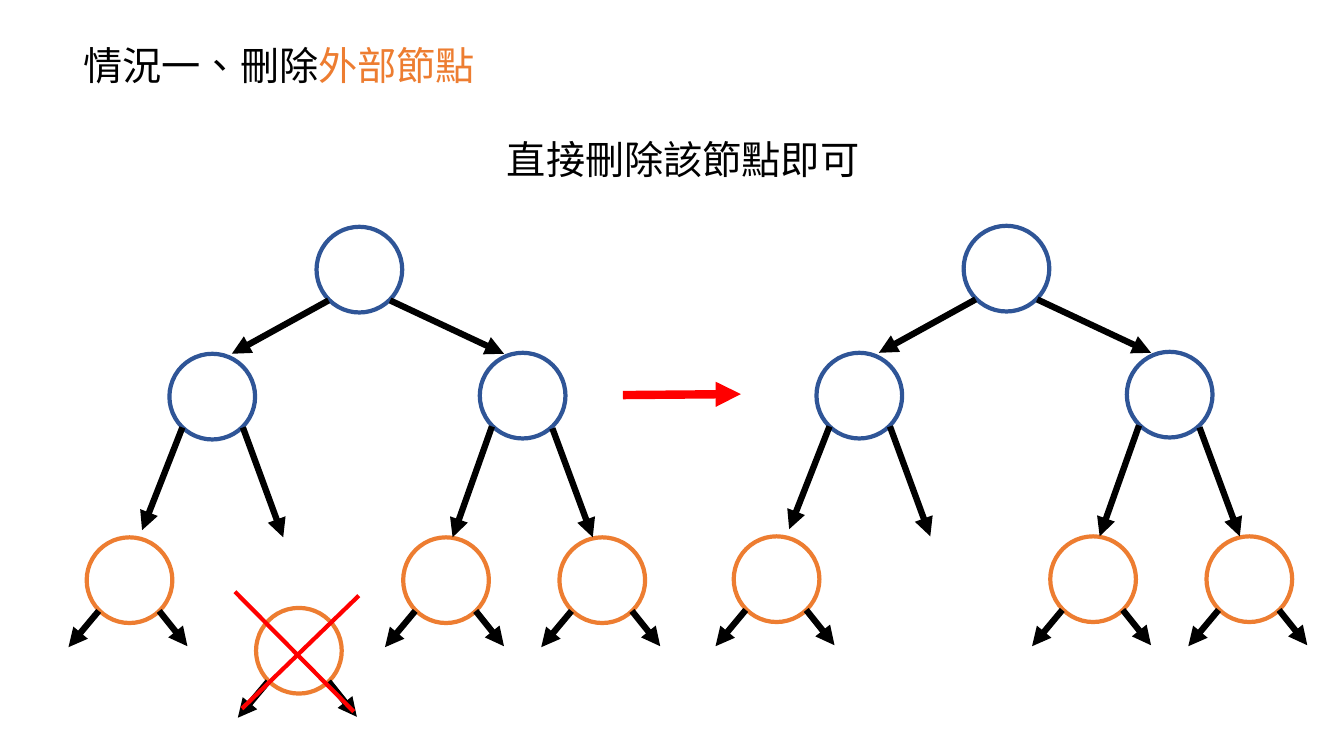
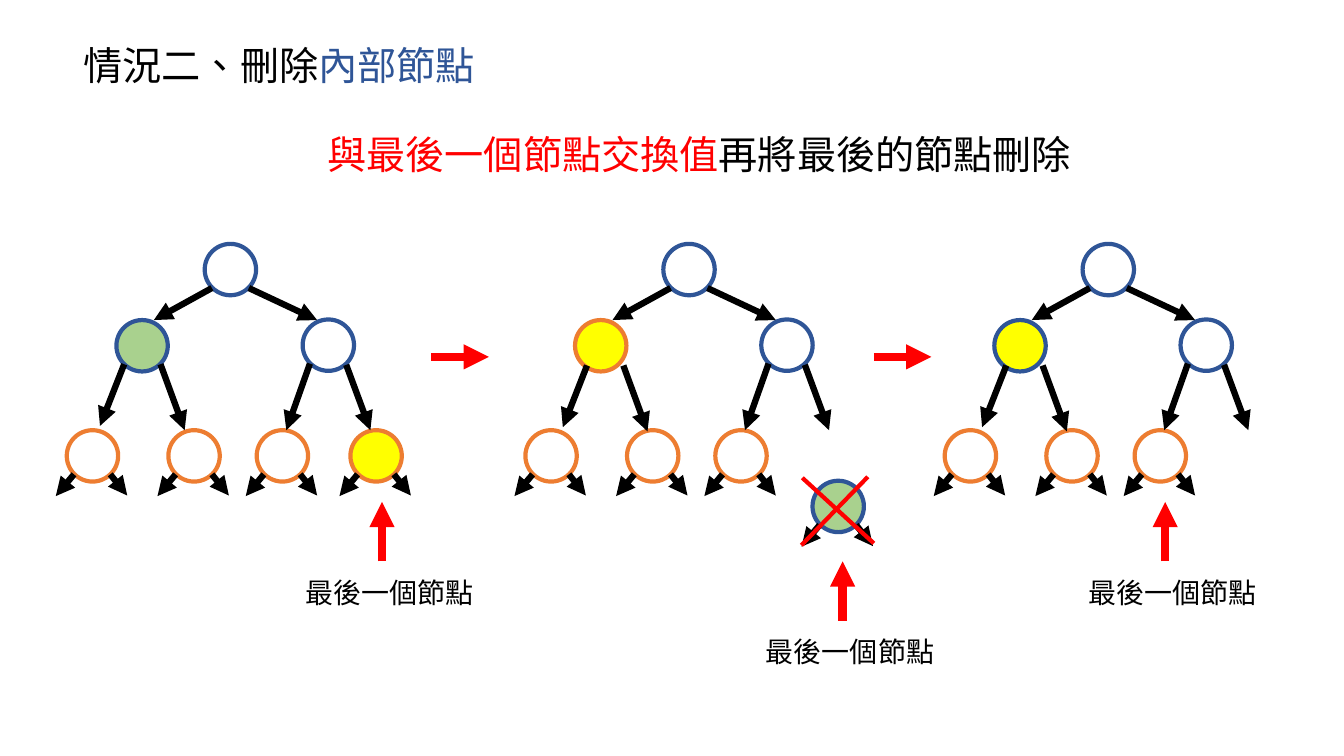
from lxml import etree
from pptx import Presentation
from pptx import util as u
from pptx.dml import color as dml
from pptx.enum import shapes, text
from pptx.oxml import ns

COLORS = {"black": "000000", "blue": "2F5597", "orange": "ED7D31",
          "red": "FF0000", "green": "A9D18E", "yellow": "FFFF00"}
LATIN, CJK = "Times New Roman", "Noto Sans CJK SC"
NODE_SIZE = 61.2

# Tree geometry at full scale, measured from the root's top left corner
NODES = {"root": (0, 0), "left": (-105.1, 90.7), "right": (116.6, 90),
         "leaf1": (-164.2, 221.8), "leaf2": (-43.2, 221.8),
         "leaf3": (61.9, 221.8), "leaf4": (173.5, 221.8)}
EDGES = [("root", (8.6, 52.6), (-60.5, 90.7)),
         ("root", (52.6, 52.6), (133.9, 90.7)),
         ("left", (-95.8, 143.3), (-124.6, 216.7)),
         ("left", (-52.6, 143.3), (-23.8, 221.8)),
         ("right", (125.3, 142.6), (97.2, 221.8)),
         ("right", (168.5, 144), (197.3, 221.8))]
STUBS = [((8.6, 52.6), (-13, 78.5)), ((51.8, 52.6), (72, 77.8))]

SLIDES = [
    {"title": [("情況一、", "black", LATIN), ("刪除", "black", CJK),
               ("外部節點", "orange", CJK)],
     "subtitle": [("直接刪除該節點即可", "black", LATIN)],
     "subtitle_box": (355, 92.9, 272.9),
     "scale": 1,
     "trees": [
         {"at": (226.1, 162), "missing": "leaf2", "detached": (-43.2, 272.2)},
         {"at": (688.3, 161.3), "missing": "leaf2"}],
     "cross": [((167.8, 422.6), (252.7, 508.3)),
               ((256.3, 425.5), (172.8, 506.2))],
     "steps": [((445, 282.2), (529.2, 281.5))],
     "pointers": []},
    {"title": [("情況二、", "black", LATIN), ("刪除", "black", CJK),
               ("內部節點", "blue", CJK)],
     "subtitle": [("與最後一個節點交換值", "red", LATIN),
                  ("再將最後的節點刪除", "black", LATIN)],
     "subtitle_box": (226.8, 89.3, 557.3),
     "scale": 0.6,
     "trees": [
         {"at": (146.2, 174.2),
          "styles": {"left": ("green", "blue"), "leaf4": ("yellow", "orange")}},
         {"at": (473.8, 174.2), "missing": "leaf4", "detached": (177.6, 282),
          "nudge": (5, 1.5),
          "styles": {"left": ("yellow", "orange"),
                     "detached": ("green", "blue")}},
         {"at": (773.3, 174.2), "missing": "leaf4", "nudge": (5, 1.5),
          "styles": {"left": ("yellow", "blue")}}],
     "cross": [((619.9, 340.6), (572.4, 389.5)),
               ((624.2, 388.1), (573.1, 341.3))],
     "steps": [((308.2, 254.9), (349.2, 254.9)),
               ((624.2, 254.9), (665.3, 254.9))],
     "pointers": [(272.9, 401), (601.9, 443.5), (832.3, 401)]},
]


def add_text(slide, box, runs, size):
    """Add a one-line text box from (wording, colour, font) runs."""
    shape = slide.shapes.add_textbox(*(u.Pt(value) for value in box))
    frame = shape.text_frame
    frame.word_wrap = True
    frame.auto_size = text.MSO_AUTO_SIZE.SHAPE_TO_FIT_TEXT
    for wording, color, font in runs:
        run = frame.paragraphs[0].add_run()
        run.text = wording
        for name, value in {"size": u.Pt(size), "name": font}.items():
            setattr(run.font, name, value)
        run.font.color.rgb = dml.RGBColor.from_string(COLORS[color])
        properties = run._r.get_or_add_rPr()
        properties.set("lang", "zh-TW")
        etree.SubElement(properties, ns.qn("a:ea"), typeface=CJK)


def add_line(slide, start, end, color="black", width=4.5, arrow=True):
    """Add a straight line, with a triangle at its end if arrow is set."""
    line = slide.shapes.add_connector(
        shapes.MSO_CONNECTOR.STRAIGHT, *(u.Pt(v) for v in (*start, *end)))
    line.line.color.rgb = dml.RGBColor.from_string(COLORS[color])
    line.line.width = u.Pt(width)
    if arrow:
        etree.SubElement(line.line._get_or_add_ln(), ns.qn("a:tailEnd"),
                         type="triangle")
    etree.SubElement(line._element.spPr, ns.qn("a:effectLst"))


presentation = Presentation()
presentation.slide_width, presentation.slide_height = u.Pt(960), u.Pt(540)

for content in SLIDES:
    slide = presentation.slides.add_slide(presentation.slide_layouts[6])
    add_text(slide, (52.6, 25.9, 314.6, 41), content["title"], 28)
    add_text(slide, (*content["subtitle_box"], 41), content["subtitle"], 28)
    scale = content["scale"]

    for tree in content["trees"]:
        left, top = tree["at"]
        nodes = {name: place for name, place in NODES.items()
                 if name != tree.get("missing")}
        if "detached" in tree:
            nodes["detached"] = tree["detached"]
        lines = []
        for parent, *ends in EDGES:
            dx, dy = tree.get("nudge", (0, 0)) if parent == "left" else (0, 0)
            lines.append([(x + dx, y + dy) for x, y in ends])

        for name, (x, y) in nodes.items():
            outer = name.startswith("leaf") or name == "detached"
            fill, outline = tree.get("styles", {}).get(
                name, (None, "orange" if outer else "blue"))
            node = slide.shapes.add_shape(
                shapes.MSO_SHAPE.OVAL, u.Pt(left + x * scale),
                u.Pt(top + y * scale), u.Pt(NODE_SIZE * scale),
                u.Pt(NODE_SIZE * scale))
            node.shadow.inherit = False
            node.line.color.rgb = dml.RGBColor.from_string(COLORS[outline])
            node.line.width = u.Pt(3)
            if fill:
                node.fill.solid()
                node.fill.fore_color.rgb = dml.RGBColor.from_string(COLORS[fill])
            else:
                node.fill.background()
            if outer:
                lines += [[(x + dx, y + dy) for dx, dy in stub]
                          for stub in STUBS]

        for ends in lines:
            add_line(slide, *((left + x * scale, top + y * scale)
                              for x, y in ends))

    for start, end in content["cross"]:
        add_line(slide, start, end, "red", 3, arrow=False)
    for start, end in content["steps"]:
        add_line(slide, start, end, "red", 6)
    for x, y in content["pointers"]:
        add_line(slide, (x, y), (x, y - 42.5), "red", 6)
        add_text(slide, (x - 61.9, y + 6.5, 141.8, 31.7),
                 [("最後一個節點", "black", CJK)], 20)

presentation.save("out.pptx")
